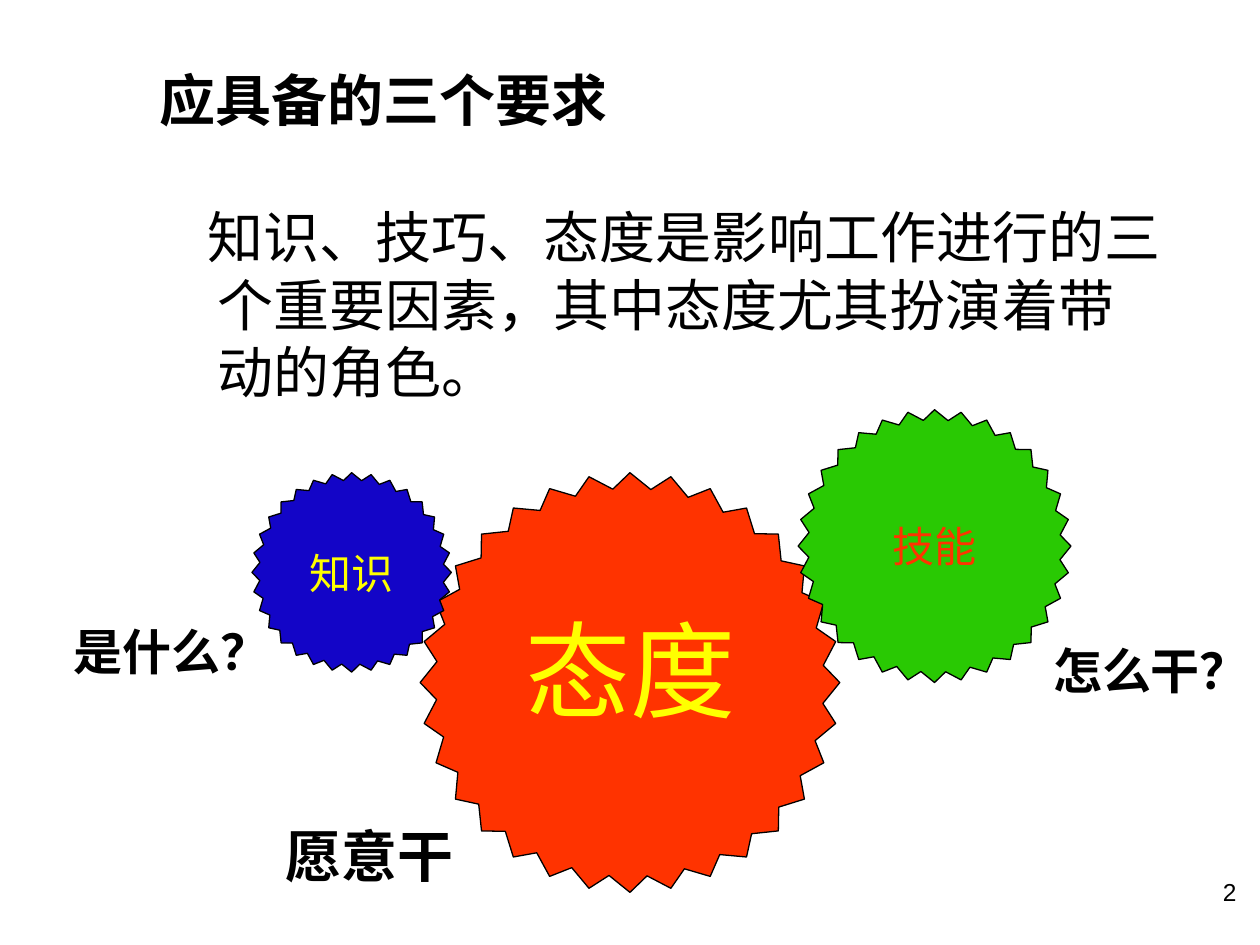
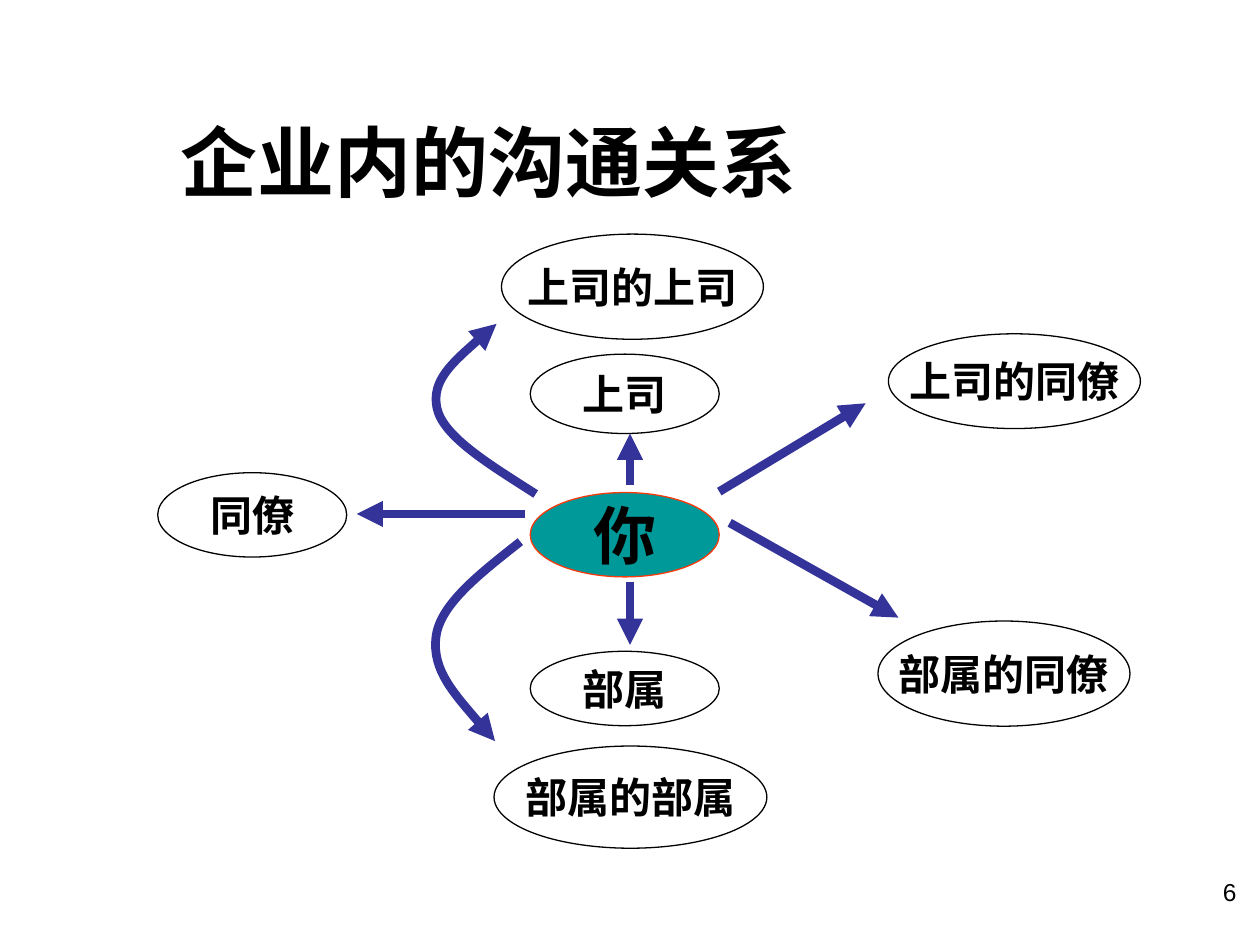
"""Build two slides on job requirements and communication inside a company."""
from dataclasses import dataclass
from math import cos, pi, sin

from lxml import etree
from pptx import Presentation
from pptx import util as u
from pptx.dml.color import RGBColor
from pptx.enum import shapes, text
from pptx.oxml.ns import qn

BLACK, YELLOW, RED, INDIGO = "000000", "FFFF00", "FF3300", "333399"
SANS, SERIF = "Noto Sans CJK SC", "Times New Roman"
TEETH, ROOT_RATIO, ROOT_SHIFT = 32, 0.925, 0.45


@dataclass
class Gear:
    x: float
    y: float
    radius: float
    fill: str
    label: str = ""
    color: str = YELLOW


@dataclass
class Label:
    words: str
    x: float
    y: float
    width: float
    height: float
    size: int
    color: str = BLACK
    bold: bool = True


@dataclass
class Person:
    name: str
    x: float
    y: float
    width: float
    height: float
    fill: str = ""
    line: str = BLACK
    size: int = 24


GEARS = [
    Gear(12.7, 13.76, 4.23, RED),
    Gear(7.09, 11.54, 2.01, "1305C7", "知识"),
    Gear(18.84, 11.01, 2.75, "29C903", "技能", RED),
]
LABELS = [
    Label("态度", 10.34, 12.07, 4.72, 2.79, 60, YELLOW, False),
    Label("是什么？", 1.24, 12.4, 4.45, 1.45, 28),
    Label("怎么干？", 20.98, 12.78, 4.45, 1.45, 28),
    Label("愿意干", 5.51, 16.43, 3.89, 1.63, 32),
]
PEOPLE = [
    Person("你", 10.69, 9.93, 3.81, 1.7, "009999", "F93A0D", 36),
    Person("部属", 10.69, 13.13, 3.81, 1.5),
    Person("上司", 10.69, 7.14, 3.81, 1.6),
    Person("上司的上司", 10.11, 4.72, 5.28, 2.12),
    Person("部属的部属", 9.96, 15.04, 5.5, 2.06),
    Person("同僚", 3.18, 9.53, 3.81, 1.7),
    Person("上司的同僚", 17.91, 6.73, 5.08, 1.91),
    Person("部属的同僚", 17.7, 12.52, 5.08, 2.12),
]
STRAIGHT_ARROWS = [
    ((12.7, 9.78), (12.7, 8.74)),
    ((12.7, 11.73), (12.7, 13)),
    ((10.59, 10.36), (7.19, 10.36)),
    ((14.5, 9.91), (17.45, 8.13)),
    ((14.71, 10.54), (18.11, 12.45)),
]
CURVED_ARROWS = [
    [(10.8, 9.96), (9.88, 9.37), (8.94, 8.81), (8.81, 8.23),
     (8.69, 7.67), (9.35, 7.09), (10.01, 6.53)],
    [(10.49, 10.92), (9.68, 11.56), (8.86, 12.19), (8.79, 12.85),
     (8.71, 13.51), (9.35, 14.22), (9.98, 14.94)],
]


def rgb(color: str) -> RGBColor:
    """Turn a hex string into a colour."""
    return RGBColor.from_string(color)


def write(shape, words: str, *, size: int, font: str = SERIF, color: str = BLACK,
          bold: bool = False, align=text.PP_ALIGN.LEFT, anchor=text.MSO_ANCHOR.TOP,
          wrap: bool = False):
    """Put one formatted paragraph into a shape and return it."""
    frame = shape.text_frame
    frame.auto_size = text.MSO_AUTO_SIZE.NONE
    frame.word_wrap = wrap
    frame.vertical_anchor = anchor
    frame.margin_left = frame.margin_right = u.Cm(0.25)
    frame.margin_top = frame.margin_bottom = u.Cm(0.13)
    para = frame.paragraphs[0]
    para.alignment = align
    span = para.add_run()
    span.text = words
    span.font.size, span.font.name, span.font.bold = u.Pt(size), font, bold
    span.font.color.rgb = rgb(color)
    etree.SubElement(span.font._element, qn("a:ea"), typeface=SANS)
    return para


def add_text(page, words: str, x: float, y: float, width: float, height: float, **style):
    """Add a text box and return its paragraph."""
    box = page.shapes.add_textbox(u.Cm(x), u.Cm(y), u.Cm(width), u.Cm(height))
    return write(box, words, **style)


def paint(shape, fill: str, line: str, width: float = 0.75) -> None:
    """Set the fill and outline of a shape; an empty fill means none."""
    shape.shadow.inherit = False
    if fill:
        shape.fill.solid()
        shape.fill.fore_color.rgb = rgb(fill)
    else:
        shape.fill.background()
    shape.line.color.rgb = rgb(line)
    shape.line.width = u.Pt(width)


def outline(page, points: list, close: bool):
    """Build a freeform through points given in centimetres."""
    places = [(u.Cm(x), u.Cm(y)) for x, y in points]
    builder = page.shapes.build_freeform(*places[0])
    builder.add_line_segments(places[1:], close=close)
    return builder.convert_to_shape()


def add_gear(page, gear: Gear) -> None:
    """Draw a toothed wheel with its label."""
    points = []
    for tooth in range(TEETH):
        for shift, ratio in ((0, 1), (ROOT_SHIFT, ROOT_RATIO)):
            angle = pi - (tooth + shift) * 2 * pi / TEETH
            reach = gear.radius * ratio
            points.append((gear.x + reach * cos(angle), gear.y + reach * sin(angle)))
    wheel = outline(page, points, True)
    paint(wheel, gear.fill, BLACK)
    if gear.label:
        write(wheel, gear.label, size=24, color=gear.color,
              align=text.PP_ALIGN.CENTER, anchor=text.MSO_ANCHOR.MIDDLE)


def add_person(page, person: Person) -> None:
    """Draw one role as a labelled ellipse."""
    oval = page.shapes.add_shape(
        shapes.MSO_SHAPE.OVAL, u.Cm(person.x), u.Cm(person.y),
        u.Cm(person.width), u.Cm(person.height))
    paint(oval, person.fill, person.line)
    write(oval, person.name, size=person.size, bold=True,
          align=text.PP_ALIGN.CENTER, anchor=text.MSO_ANCHOR.MIDDLE)


def add_arrowhead(shape) -> None:
    """Put a triangle at the end of a line."""
    etree.SubElement(shape.line._get_or_add_ln(), qn("a:tailEnd"), type="triangle")


def add_straight_arrow(page, start: tuple, end: tuple) -> None:
    """Draw a thick straight arrow."""
    arrow = page.shapes.add_connector(
        shapes.MSO_CONNECTOR.STRAIGHT, *(u.Cm(value) for value in start + end))
    arrow.line.color.rgb = rgb(INDIGO)
    arrow.line.width = u.Pt(5)
    add_arrowhead(arrow)
    etree.SubElement(arrow._element.spPr, qn("a:effectLst"))


def add_curved_arrow(page, points: list) -> None:
    """Draw a thick arrow along cubic curves, three points to each curve."""
    arrow = outline(page, points, False)
    steps = list(arrow._element.iter(qn("a:lnTo")))
    track = steps[0].getparent()
    for first in range(0, len(steps), 3):
        curve = etree.SubElement(track, qn("a:cubicBezTo"))
        for step in steps[first:first + 3]:
            curve.append(step[0])
            track.remove(step)
    paint(arrow, "", INDIGO, 5)
    add_arrowhead(arrow)


def add_page(deck, title: str, number: str, x: float, y: float, width: float,
             height: float, **style):
    """Add a slide with its title and page number."""
    page = deck.slides.add_slide(deck.slide_layouts[5])
    heading = page.shapes.title
    heading.left, heading.top = u.Cm(x), u.Cm(y)
    heading.width, heading.height = u.Cm(width), u.Cm(height)
    write(heading, title, bold=True, wrap=True, **style)
    add_text(page, number, 19.89, 17.35, 5.29, 1.27, size=14, font="Arial",
             align=text.PP_ALIGN.RIGHT, anchor=text.MSO_ANCHOR.MIDDLE)
    return page


def build_requirements(deck) -> None:
    """Build the slide on the three requirements."""
    page = add_page(deck, "应具备的三个要求", "2", 2.97, 1.19, 18.21, 1.63,
                    size=32, font=SANS)
    para = add_text(
        page, "知识、技巧、态度是影响工作进行的三个重要因素，其中态度尤其扮演着带动的角色。",
        3.18, 3.96, 20.52, 4.65, size=32, font=SANS, wrap=True)
    para._p.get_or_add_pPr().set("marL", str(u.Cm(0.96)))
    para._p.get_or_add_pPr().set("indent", str(u.Cm(-0.2)))
    for gear in GEARS:
        add_gear(page, gear)
    for label in LABELS:
        add_text(page, label.words, label.x, label.y, label.width, label.height,
                 size=label.size, color=label.color, bold=label.bold)


def build_relations(deck) -> None:
    """Build the slide on communication relations."""
    page = add_page(deck, "企业内的沟通关系", "6", 3.39, 2.18, 14.61, 2.13, size=44)
    for person in PEOPLE:
        add_person(page, person)
    for start, end in STRAIGHT_ARROWS:
        add_straight_arrow(page, start, end)
    for points in CURVED_ARROWS:
        add_curved_arrow(page, points)


def main() -> None:
    """Build and save the deck."""
    deck = Presentation()
    deck.slide_width, deck.slide_height = u.Cm(25.4), u.Cm(19.05)
    build_requirements(deck)
    build_relations(deck)
    deck.save("out.pptx")


if __name__ == "__main__":
    main()
